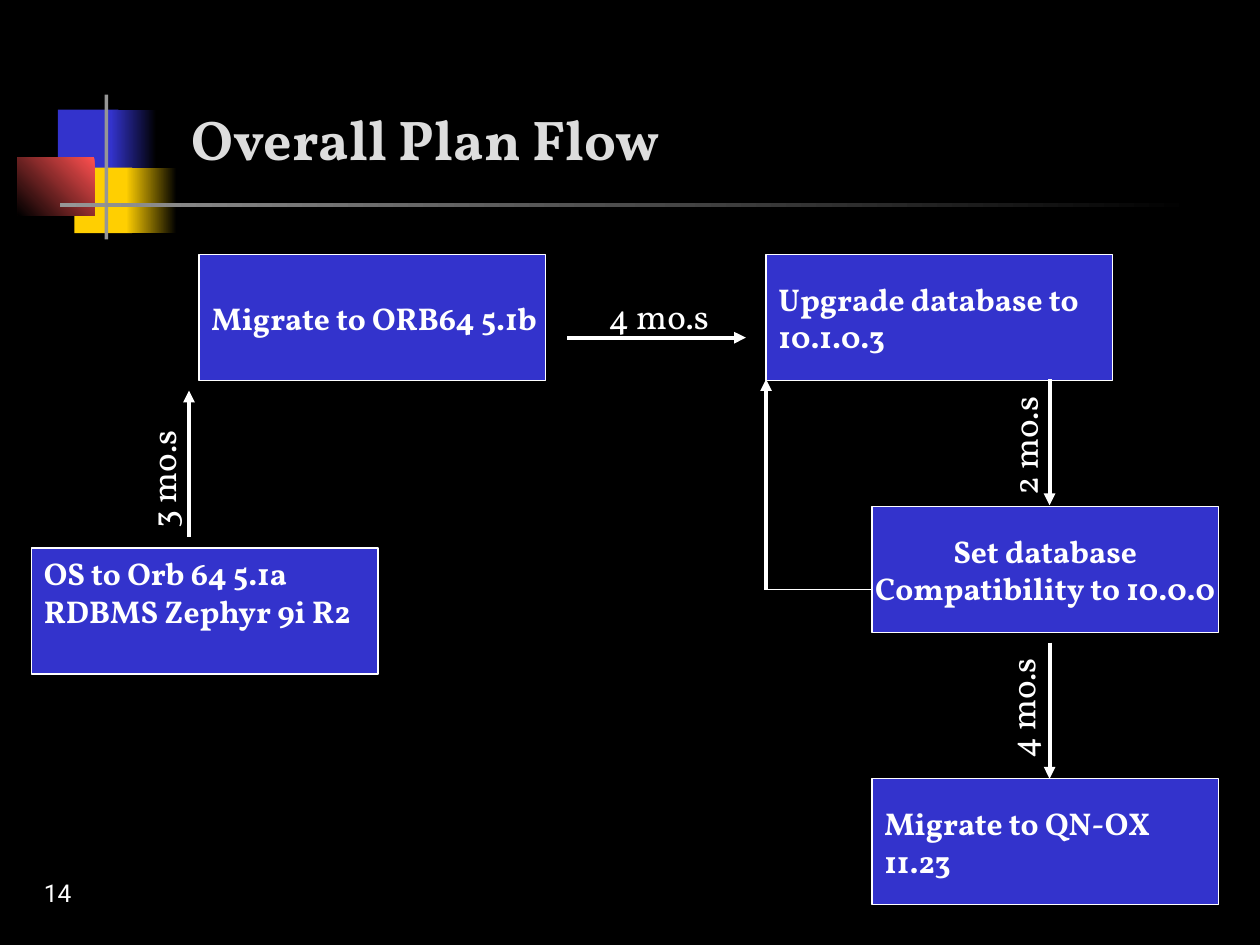
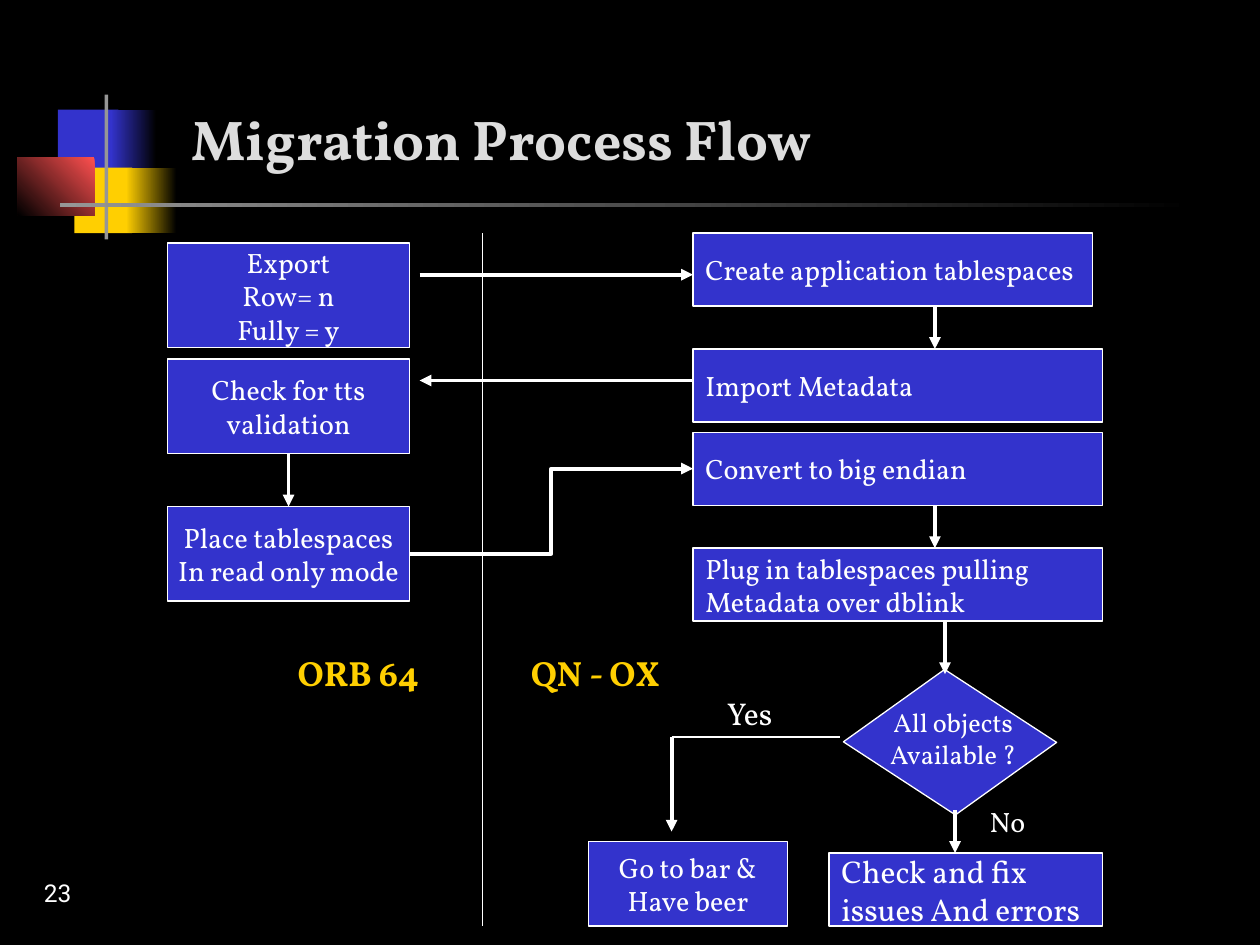
from lxml import etree
from pptx import Presentation
from pptx.dml.color import RGBColor
from pptx.enum.shapes import MSO_CONNECTOR, MSO_SHAPE
from pptx.enum.text import MSO_ANCHOR, PP_ALIGN
from pptx.oxml.ns import qn
from pptx.util import Inches, Pt

BLACK = RGBColor(0x00, 0x00, 0x00)
WHITE = RGBColor(0xFF, 0xFF, 0xFF)
BLUE = RGBColor(0x33, 0x33, 0xCC)
YELLOW = RGBColor(0xFF, 0xCF, 0x01)
RED = RGBColor(0xFF, 0x50, 0x50)
GRAY = RGBColor(0x96, 0x96, 0x96)
TITLE_GRAY = RGBColor(0xDD, 0xDD, 0xDD)
HEADING_FONT = "Vollkorn"
NUMBER_FONT = "Roboto"
LEFT, CENTER = PP_ALIGN.LEFT, PP_ALIGN.CENTER


def add_text(slide, lines, position, size, align=LEFT, bold=False, boxed=False,
             color=WHITE, font=HEADING_FONT, anchor=MSO_ANCHOR.TOP):
    lengths = [Inches(value) for value in position]
    if boxed:
        shape = slide.shapes.add_shape(MSO_SHAPE.RECTANGLE, *lengths)
        shape.shadow.inherit = False
        shape.fill.solid()
        shape.fill.fore_color.rgb = BLUE
        shape.line.color.rgb = WHITE
        shape.line.width = Pt(0.75)
    else:
        shape = slide.shapes.add_textbox(*lengths)
    frame = shape.text_frame
    frame.word_wrap = False
    frame.vertical_anchor = anchor
    for index, line in enumerate(lines):
        paragraph = frame.add_paragraph() if index else frame.paragraphs[0]
        paragraph.alignment = align
        run = paragraph.add_run()
        run.text = line
        run.font.name = font
        run.font.size = Pt(size)
        run.font.bold = bold
        run.font.color.rgb = color
    return shape


def add_line(slide, start_x, start_y, end_x, end_y, arrow=True, kind=MSO_CONNECTOR.STRAIGHT):
    connector = slide.shapes.add_connector(
        kind, Inches(start_x), Inches(start_y), Inches(end_x), Inches(end_y))
    connector.line.color.rgb = WHITE
    connector.line.width = Pt(2.25 if arrow else 0.75)
    properties = connector.element.spPr
    if arrow:
        etree.SubElement(properties.find(qn("a:ln")), qn("a:tailEnd"), type="triangle")
    etree.SubElement(properties, qn("a:effectLst"))
    return connector


presentation = Presentation()
presentation.slide_width = Inches(10)
presentation.slide_height = Inches(7.5)
layout = presentation.slide_layouts[5]
layout.background.fill.solid()
layout.background.fill.fore_color.rgb = BLACK

plan_slide = presentation.slides.add_slide(layout)
process_slide = presentation.slides.add_slide(layout)

decorations = [
    (0.46, 0.87, 0.48, 0.52, [BLUE], 0),
    (0.88, 0.87, 0.36, 0.52, [BLACK, BLUE], 180),
    (0.59, 1.33, 0.46, 0.52, [YELLOW], 0),
    (1, 1.33, 0.4, 0.52, [BLACK, YELLOW], 180),
    (0.14, 1.25, 0.61, 0.46, [RED, BLACK], 225),
    (0.83, 0.75, 0.03, 1.15, [GRAY], 0),
    (0.48, 1.61, 9, 0.03, [BLACK, GRAY], 180),
]
for number, (left, top, width, height, colors, angle) in enumerate(decorations, 101):
    shape = plan_slide.shapes.add_shape(
        MSO_SHAPE.RECTANGLE, Inches(left), Inches(top), Inches(width), Inches(height))
    shape.shadow.inherit = False
    shape.line.fill.background()
    if len(colors) == 1:
        shape.fill.solid()
        shape.fill.fore_color.rgb = colors[0]
    else:
        shape.fill.gradient()
        shape.fill.gradient_angle = angle
        for stop, color, place in zip(shape.fill.gradient_stops, colors, (0, 1)):
            stop.color.rgb = color
            stop.position = place
    shape.element.xpath(".//p:cNvPr")[0].set("id", str(number))
    layout.shapes.element.append(shape.element)

for slide, heading, number in [(plan_slide, "Overall Plan Flow", "14"),
                               (process_slide, "Migration Process Flow", "23")]:
    title = slide.shapes.title
    title.left, title.top = Inches(1.42), Inches(0.08)
    title.width, title.height = Inches(8.36), Inches(1.33)
    title.text_frame.vertical_anchor = MSO_ANCHOR.BOTTOM
    paragraph = title.text_frame.paragraphs[0]
    paragraph.alignment = LEFT
    run = paragraph.add_run()
    run.text = heading
    run.font.name = HEADING_FONT
    run.font.size = Pt(32)
    run.font.bold = True
    run.font.color.rgb = TITLE_GRAY
    add_text(slide, [number], (0.25, 6.75, 2.08, 0.5), 14, font=NUMBER_FONT,
             anchor=MSO_ANCHOR.BOTTOM)

plan_steps = [
    (["OS to Orb 64 5.1a", "RDBMS Zephyr 9i R2"], 0.25, 4.35, LEFT, MSO_ANCHOR.TOP),
    (["Migrate to ORB64 5.1b"], 1.58, 2.02, LEFT, MSO_ANCHOR.MIDDLE),
    (["Upgrade database to", "10.1.0.3"], 6.08, 2.02, LEFT, MSO_ANCHOR.MIDDLE),
    (["Set database", "Compatibility to 10.0.0"], 6.92, 4.02, CENTER, MSO_ANCHOR.MIDDLE),
    (["Migrate to QN-OX", "11.23"], 6.92, 6.18, LEFT, MSO_ANCHOR.MIDDLE),
]
for lines, left, top, align, anchor in plan_steps:
    add_text(plan_slide, lines, (left, top, 2.75, 1), 18, align, bold=True, boxed=True,
             anchor=anchor)

for ends in [(1.5, 4.26, 1.5, 3.1), (4.5, 2.68, 5.92, 2.68), (8.33, 3.01, 8.33, 4.01),
             (8.33, 5.1, 8.33, 6.18), (6.08, 4.68, 6.08, 3.01)]:
    add_line(plan_slide, *ends)
add_line(plan_slide, 6.08, 4.68, 6.92, 4.68, arrow=False)

for duration, left, top, rotation in [("3 mo.s", 0.77, 3.55, 270), ("4 mo.s", 4.73, 2.29, 0),
                                      ("2 mo.s", 7.61, 3.29, 270), ("4 mo.s", 7.59, 5.38, 270)]:
    label = add_text(plan_slide, [duration], (left, top, 1.04, 0.44), 20)
    label.rotation = rotation

process_steps = [
    (["Export", "Row= n", "Fully = y"], (1.33, 1.93, 1.92, 0.83), 16, CENTER),
    (["Check for tts", "validation"], (1.33, 2.85, 1.92, 0.75), 16, CENTER),
    (["Place tablespaces", "In read only mode"], (1.33, 4.02, 1.92, 0.75), 16, CENTER),
    (["Create application tablespaces"], (5.5, 1.85, 3.17, 0.58), 16, LEFT),
    (["Import Metadata"], (5.5, 2.77, 3.25, 0.58), 16, LEFT),
    (["Convert to big endian"], (5.5, 3.43, 3.25, 0.58), 16, LEFT),
    (["Plug in tablespaces pulling", "Metadata over dblink"], (5.5, 4.35, 3.25, 0.58), 16, LEFT),
    (["Check and fix", "issues And errors"], (6.58, 6.77, 2.17, 0.58), 18, LEFT),
    (["Go to bar &", "Have beer"], (4.67, 6.68, 1.58, 0.67), 16, CENTER),
]
boxes = {}
for lines, position, size, align in process_steps:
    boxes[lines[0]] = add_text(process_slide, lines, position, size, align, boxed=True,
                               anchor=MSO_ANCHOR.MIDDLE)

decision = process_slide.shapes.add_shape(
    MSO_SHAPE.PARALLELOGRAM, Inches(6.83), Inches(5.43), Inches(1.42), Inches(0.92))
decision.adjustments[0] = 0.39
decision.rotation = 213.1
decision.shadow.inherit = False
decision.fill.solid()
decision.fill.fore_color.rgb = BLUE
decision.line.color.rgb = WHITE
decision.line.width = Pt(0.75)

for ends in [(3.33, 2.18, 5.5, 2.18), (7.42, 2.43, 7.42, 2.77), (5.5, 3.02, 3.33, 3.02),
             (7.42, 4.01, 7.42, 4.35), (7.5, 4.93, 7.5, 5.35), (7.58, 6.43, 7.58, 6.77),
             (5.33, 5.85, 5.33, 6.6)]:
    add_line(process_slide, *ends)
for ends in [(5.33, 5.85, 6.67, 5.85), (3.83, 1.85, 3.83, 7.35)]:
    add_line(process_slide, *ends, arrow=False)

validation_arrow = add_line(process_slide, 2.29, 3.6, 2.29, 4.02)
validation_arrow.begin_connect(boxes["Check for tts"], 2)
validation_arrow.end_connect(boxes["Place tablespaces"], 0)
conversion_arrow = add_line(process_slide, 3.25, 4.39, 5.5, 3.72, kind=MSO_CONNECTOR.ELBOW)
conversion_arrow.begin_connect(boxes["Place tablespaces"], 3)
conversion_arrow.end_connect(boxes["Convert to big endian"], 1)

for lines, position, size, color, bold in [
    (["All objects", "Available ?"], (6.92, 5.56, 1.29, 0.6), 15, WHITE, False),
    (["No"], (7.75, 6.34, 0.49, 0.37), 16, WHITE, False),
    (["Yes"], (5.65, 5.46, 0.6, 0.4), 18, WHITE, False),
    (["ORB 64"], (2.26, 5.12, 1.17, 0.44), 20, YELLOW, True),
    (["QN - OX"], (4.1, 5.12, 1.25, 0.44), 20, YELLOW, True),
]:
    add_text(process_slide, lines, position, size, CENTER, bold=bold, color=color)

presentation.save("out.pptx")
